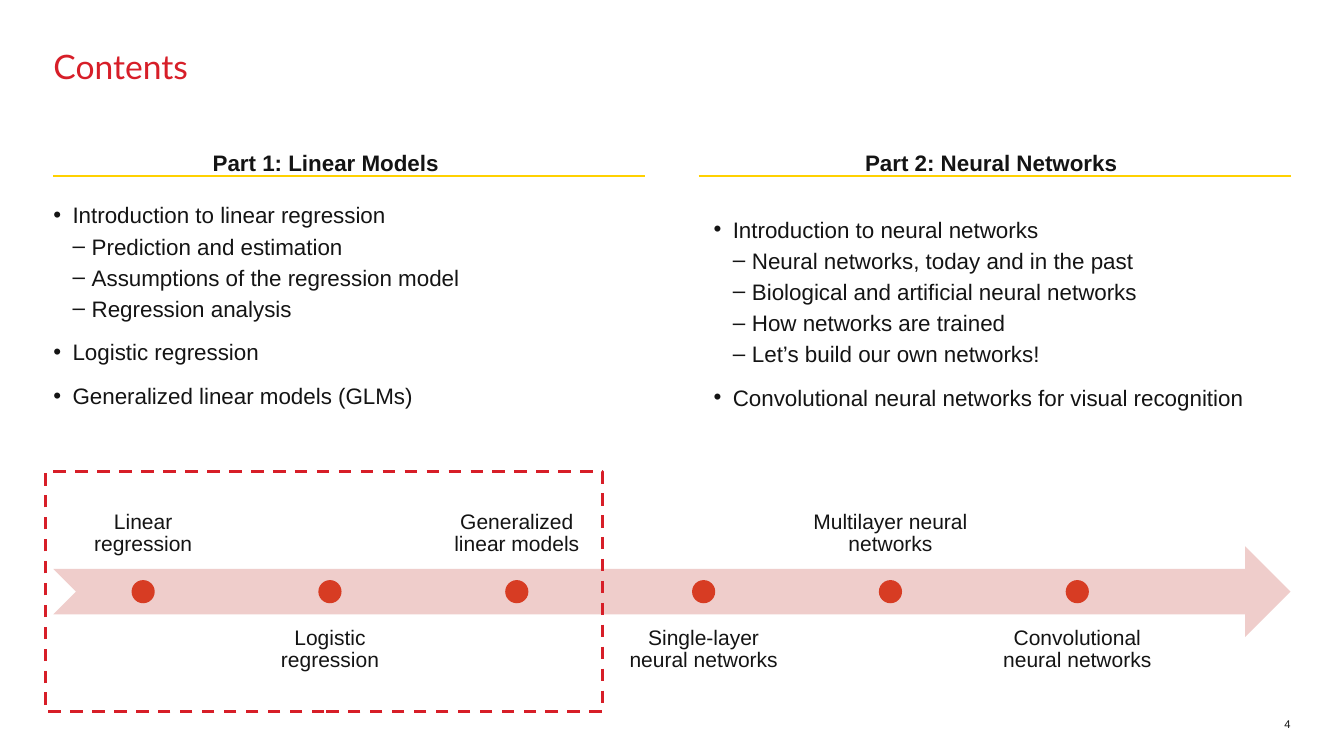
from dataclasses import dataclass

from lxml import etree
from pptx import Presentation
from pptx import util as u
from pptx.dml.color import RGBColor
from pptx.enum import dml, shapes, text
from pptx.oxml.ns import qn


@dataclass(frozen=True)
class Theme:
    ink: str = "141414"
    red: str = "D71E28"
    yellow: str = "FFD100"
    arrow: str = "EFCDCB"
    dot: str = "D73C23"
    title_font: str = "Lato"
    body_font: str = "Arial"
    title_size: int = 24
    body_size: int = 16
    label_size: int = 15
    number_size: int = 8


THEME = Theme()
WIDTH, HEIGHT = 13.33, 7.5
MARGIN = 0.53
CONTENT = WIDTH - 2 * MARGIN
GUTTER = 0.53
COLUMN = (CONTENT - GUTTER) / 2
INDENT = 0.19

PART_1 = [
    (0, "Introduction to linear regression"),
    (1, "Prediction and estimation"),
    (1, "Assumptions of the regression model"),
    (1, "Regression analysis"),
    (0, "Logistic regression"),
    (0, "Generalized linear models (GLMs)"),
]
PART_2 = [
    (0, "Introduction to neural networks"),
    (1, "Neural networks, today and in the past"),
    (1, "Biological and artificial neural networks"),
    (1, "How networks are trained"),
    (1, "Let’s build our own networks!"),
    (0, "Convolutional neural networks for visual recognition"),
]
MILESTONES = [
    "Linear regression",
    "Logistic regression",
    "Generalized linear models",
    "Single-layer neural networks",
    "Multilayer neural networks",
    "Convolutional neural networks",
]


def inches(*lengths):
    return [u.Inches(length) for length in lengths]


def color(value):
    return RGBColor.from_string(value)


def style(para, size, font=THEME.body_font, ink=THEME.ink, bold=False):
    para.font.size = u.Pt(size)
    para.font.name = font
    para.font.bold = bold
    para.font.color.rgb = color(ink)


def add_frame(page, box, inset=0, anchor=text.MSO_ANCHOR.TOP):
    frame = page.shapes.add_textbox(*inches(*box)).text_frame
    frame.word_wrap = True
    frame.vertical_anchor = anchor
    frame.margin_left = frame.margin_right = u.Inches(inset)
    frame.margin_top = frame.margin_bottom = u.Inches(inset)
    return frame


def add_line_of_text(page, box, words, size, align=text.PP_ALIGN.LEFT,
                     spacing=1.0, inset=0, anchor=text.MSO_ANCHOR.TOP, **look):
    para = add_frame(page, box, inset, anchor).paragraphs[0]
    para.text = words
    para.alignment = align
    para.line_spacing = spacing
    style(para, size, **look)


def add_filled(page, kind, box, fill):
    shape = page.shapes.add_shape(kind, *inches(*box))
    shape.shadow.inherit = False
    shape.fill.solid()
    shape.fill.fore_color.rgb = color(fill)
    shape.line.fill.background()
    return shape


def add_bullet(para, level):
    props = para._p.get_or_add_pPr()
    props.set("marL", str(u.Inches(INDENT * (level + 1))))
    props.set("indent", str(u.Inches(-INDENT)))
    tint = etree.SubElement(props, qn("a:buClr"))
    etree.SubElement(tint, qn("a:srgbClr"), val=THEME.ink)
    etree.SubElement(props, qn("a:buFont"), typeface=THEME.body_font)
    etree.SubElement(props, qn("a:buChar"), char="•–"[level])


def add_rule(page, left, top, width):
    rule = page.shapes.add_connector(
        shapes.MSO_CONNECTOR.STRAIGHT, *inches(left, top, left + width, top))
    rule.line.color.rgb = color(THEME.yellow)
    rule.line.width = u.Pt(1.5)
    etree.SubElement(rule._element.spPr, qn("a:effectLst"))


def add_outline(page, box, items, inset=0):
    frame = add_frame(page, box, inset)
    for index, (level, words) in enumerate(items):
        para = frame.add_paragraph() if index else frame.paragraphs[0]
        para.text = words
        para.level = level
        if index:
            para.space_before = u.Pt(3 if level else 12)
        style(para, THEME.body_size)
        add_bullet(para, level)


def add_part(page, box, heading, heading_left, items, body_shift=(0, 0), inset=0):
    left, top, width, height = box
    add_rule(page, left, top + 0.27, width)
    add_line_of_text(page, (heading_left, top, 3.68, 0.24), heading,
                     THEME.body_size, text.PP_ALIGN.CENTER, bold=True)
    right, down = body_shift
    add_outline(page, (left + right, top + 0.52 + down, width, height - 0.52),
                items, inset)


def add_timeline(page, box, milestones):
    left, top, width, height = box
    arrow_height, label_width, label_height, dot = 0.9, 1.77, 0.9, 0.23
    middle = top + height / 2
    arrow = add_filled(page, shapes.MSO_SHAPE.NOTCHED_RIGHT_ARROW,
                       (left, middle - arrow_height / 2, width, arrow_height),
                       THEME.arrow)
    arrow.adjustments[0] = arrow.adjustments[1] = 0.5
    first, step = left + 0.89, 1.853
    for index, words in enumerate(milestones):
        center = first + index * step
        below = index % 2 == 1
        label_top = top + height - label_height if below else top
        anchor = text.MSO_ANCHOR.TOP if below else text.MSO_ANCHOR.BOTTOM
        add_line_of_text(
            page, (center - label_width / 2, label_top, label_width, label_height),
            words, THEME.label_size, text.PP_ALIGN.CENTER, 0.9, 0.12, anchor)
        add_filled(page, shapes.MSO_SHAPE.OVAL,
                   (center - dot / 2, middle - dot / 2, dot, dot), THEME.dot)


def add_highlight(page, box):
    frame = page.shapes.add_shape(shapes.MSO_SHAPE.RECTANGLE, *inches(*box))
    frame.shadow.inherit = False
    frame.fill.background()
    frame.line.color.rgb = color(THEME.red)
    frame.line.width = u.Pt(2.25)
    frame.line.dash_style = dml.MSO_LINE.DASH


def build_contents(page):
    add_line_of_text(page, (MARGIN, 0.5, CONTENT, 1.1), "Contents",
                     THEME.title_size, spacing=0.9,
                     font=THEME.title_font, ink=THEME.red)
    add_part(page, (MARGIN, 1.48, COLUMN, 2.67),
             "Part 1: Linear Models", 1.39, PART_1)
    add_part(page, (MARGIN + COLUMN + GUTTER, 1.48, COLUMN, 2.67),
             "Part 2: Neural Networks", 7.99, PART_2, (0.05, 0.04), 0.1)
    add_timeline(page, (MARGIN, 4.74, CONTENT, 2.26), MILESTONES)
    add_highlight(page, (0.45, 4.68, 5.53, 2.38))
    add_line_of_text(page, (WIDTH - 2 * MARGIN, 7, MARGIN, 0.25), "4",
                     THEME.number_size, text.PP_ALIGN.RIGHT,
                     anchor=text.MSO_ANCHOR.BOTTOM)


def main():
    deck = Presentation()
    deck.slide_width, deck.slide_height = inches(WIDTH, HEIGHT)
    build_contents(deck.slides.add_slide(deck.slide_layouts[6]))
    deck.save("out.pptx")


if __name__ == "__main__":
    main()
